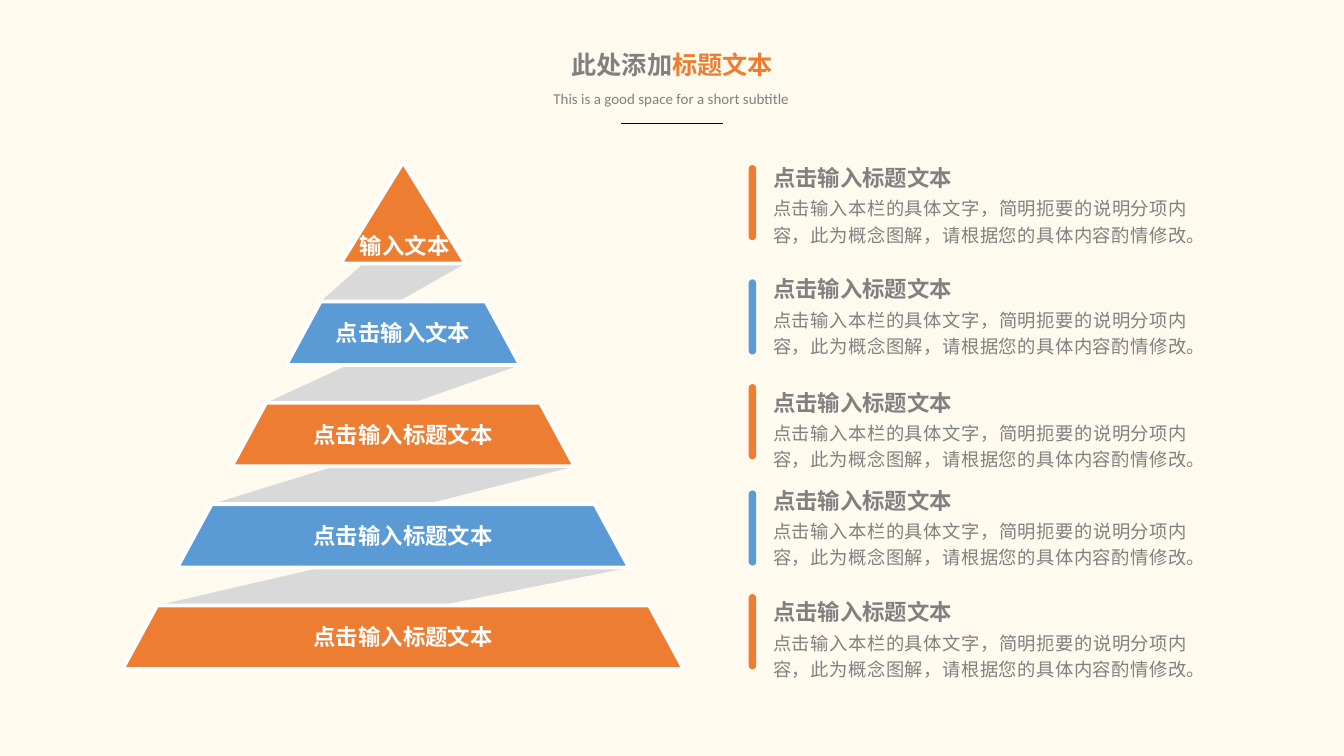
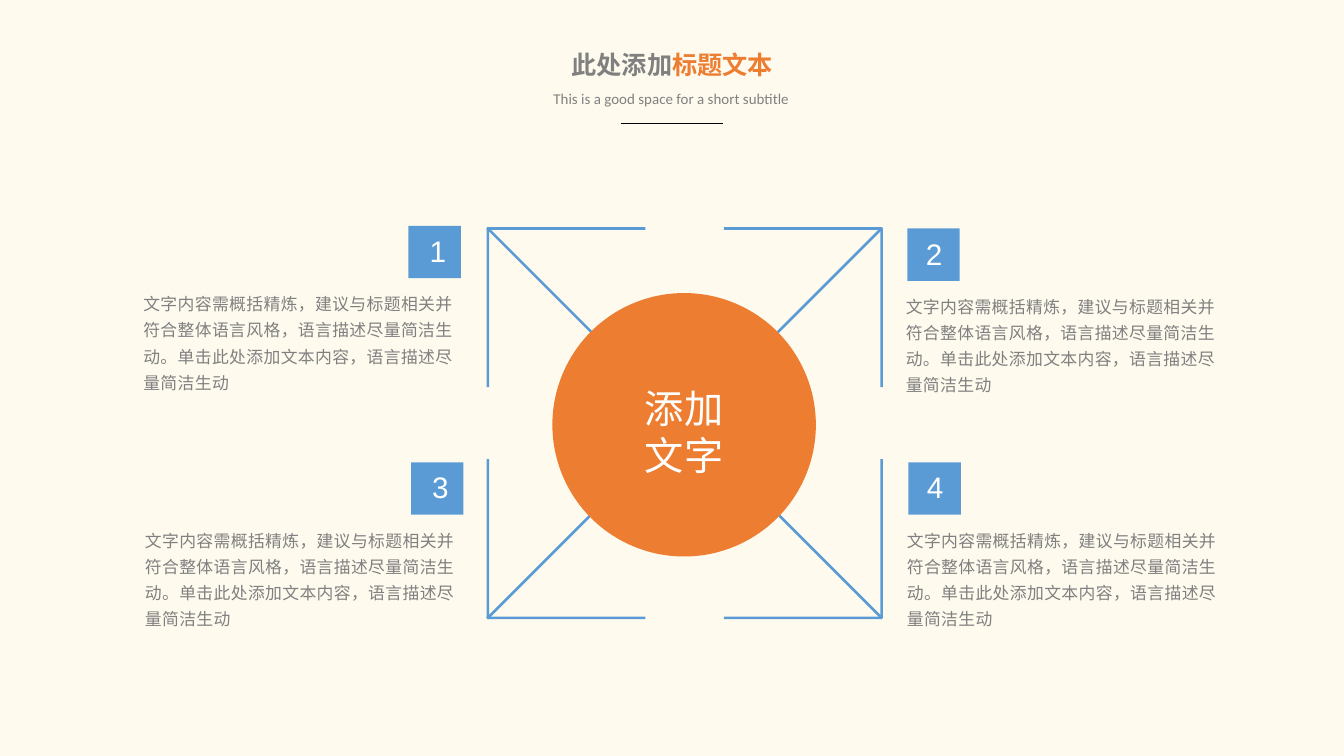
import pptx
import pptx.dml.color
import pptx.enum.shapes
import pptx.enum.text
import pptx.oxml.ns
import pptx.util
from lxml import etree

Cm = pptx.util.Cm
Pt = pptx.util.Pt
RGBColor = pptx.dml.color.RGBColor
MSO_SHAPE = pptx.enum.shapes.MSO_SHAPE
PP_ALIGN = pptx.enum.text.PP_ALIGN
MSO_ANCHOR = pptx.enum.text.MSO_ANCHOR
MSO_AUTO_SIZE = pptx.enum.text.MSO_AUTO_SIZE
qn = pptx.oxml.ns.qn

CREAM = RGBColor(0xFE, 0xFA, 0xEE)
ORANGE = RGBColor(0xED, 0x7D, 0x31)
BLUE = RGBColor(0x5B, 0x9B, 0xD5)
GRAY = RGBColor(0x80, 0x80, 0x80)
LIGHT_GRAY = RGBColor(0xD9, 0xD9, 0xD9)
WHITE = RGBColor(0xFF, 0xFF, 0xFF)
BLACK = RGBColor(0x00, 0x00, 0x00)
CJK_FONT = "Noto Sans CJK SC"


def paint(shape, fill, outline=None):
    shape.shadow.inherit = False
    shape.fill.solid()
    shape.fill.fore_color.rgb = fill
    if outline is None:
        shape.line.fill.background()
    else:
        shape.line.color.rgb = outline
        shape.line.width = Pt(2)


def write(shape, text, size, color, font=CJK_FONT, bold=False, align=PP_ALIGN.CENTER,
          margins=(0.25, 0.13), wrap=True, grow=True, spacing=None, tracking=None):
    frame = shape.text_frame
    frame.word_wrap = wrap
    frame.auto_size = MSO_AUTO_SIZE.SHAPE_TO_FIT_TEXT if grow else MSO_AUTO_SIZE.NONE
    frame.vertical_anchor = MSO_ANCHOR.TOP if grow else MSO_ANCHOR.MIDDLE
    frame.margin_left = frame.margin_right = Cm(margins[0])
    frame.margin_top = frame.margin_bottom = Cm(margins[1])
    frame.text = text
    for paragraph in frame.paragraphs:
        paragraph.alignment = align
        if spacing:
            paragraph.line_spacing = spacing
        paragraph.font.name = font
        paragraph.font.size = Pt(size)
        paragraph.font.bold = bold
        paragraph.font.color.rgb = color
        properties = paragraph._p.pPr.find(qn("a:defRPr"))
        etree.SubElement(properties, qn("a:ea")).set("typeface", CJK_FONT)
        if tracking:
            properties.set("spc", str(tracking))


presentation = pptx.Presentation()
presentation.slide_width = Cm(25.4)
presentation.slide_height = Cm(14.29)

# Shared background, title, subtitle and rule
for _ in range(2):
    slide = presentation.slides.add_slide(presentation.slide_layouts[6])
    slide.background.fill.solid()
    slide.background.fill.fore_color.rgb = CREAM
    title = slide.shapes.add_textbox(Cm(10.52), Cm(0.81), Cm(4.37), Cm(0.84))
    write(title, "此处添加", 13.5, GRAY, font="Calibri", bold=True, wrap=False)
    accent = title.text_frame.paragraphs[0].add_run()
    accent.text = "标题文本"
    accent.font.color.rgb = ORANGE
    subtitle = slide.shapes.add_textbox(Cm(10.19), Cm(1.57), Cm(5), Cm(0.61))
    write(subtitle, "This is a good space for a short subtitle", 8, GRAY,
          font="Calibri", wrap=False)
    rule = slide.shapes.add_connector(pptx.enum.shapes.MSO_CONNECTOR.STRAIGHT,
                                      Cm(11.73), Cm(2.34), Cm(13.67), Cm(2.34))
    rule.line.color.rgb = BLACK
    rule.line.width = Pt(0.5)
    etree.SubElement(rule._element.spPr, qn("a:effectLst"))

pyramid_slide, circle_slide = presentation.slides

# Pyramid tiers: top, bottom, half width at top, half width at bottom
shapes = pyramid_slide.shapes
axis = 7.62
tiers = [(3.91, 4.98, 0.46, 1.18)]
for step in range(4):
    top = 5.7 + 1.915 * step
    half = 1.56 + 1.03 * step
    tiers.append((top, top + 1.2, half, half + 0.65))

# Gray ribbons folding from each tier to the next
outlines = []
for upper, lower in zip(tiers, tiers[1:]):
    outlines.append(([(axis + upper[2], upper[0]), (axis - lower[2], lower[0]),
                      (axis - lower[3], lower[1]), (axis + upper[3], upper[1])],
                     LIGHT_GRAY, None))

# Tier outlines, with the peak as a triangle
outlines.append(([(axis, 3.07), (axis + 1.18, 4.98), (axis - 1.18, 4.98)], ORANGE, WHITE))
for number, (top, bottom, half_top, half_bottom) in enumerate(tiers[1:], 1):
    outlines.append(([(axis - half_top, top), (axis - half_bottom, bottom),
                      (axis + half_bottom, bottom), (axis + half_top, top)],
                     (ORANGE, BLUE)[number % 2], WHITE))

for points, fill, outline in outlines:
    corners = [(Cm(x), Cm(y)) for x, y in points]
    builder = shapes.build_freeform(*corners[0])
    builder.add_line_segments(corners[1:], close=True)
    paint(builder.convert_to_shape(), fill, outline)

# Tier labels
peak_label = shapes.add_textbox(Cm(6.48), Cm(4.14), Cm(2.34), Cm(0.99))
write(peak_label, "输入文本", 12, WHITE, bold=True, margins=(0, 0), grow=False)
labels = ["点击输入文本"] + ["点击输入标题文本"] * 3
for number, (label, tier) in enumerate(zip(labels, tiers[1:]), 1):
    half = tier[2] - 0.04
    plate = shapes.add_shape(MSO_SHAPE.RECTANGLE, Cm(axis - half), Cm(tier[0] + 0.1),
                             Cm(2 * half), Cm(0.99))
    paint(plate, (ORANGE, BLUE)[number % 2])
    write(plate, label, 12, WHITE, bold=True, margins=(0, 0), grow=False)

# Explanations beside coloured bars: bar top, heading top
rows = [(3.12, 3.07), (5.28, 5.18), (7.26, 7.32), (9.27, 9.17), (11.23, 11.28)]
for number, (bar_top, heading_top) in enumerate(rows):
    bar = shapes.add_shape(MSO_SHAPE.ROUND_2_SAME_RECTANGLE, Cm(14.15), Cm(bar_top),
                           Cm(0.14), Cm(1.42))
    bar.adjustments[0] = bar.adjustments[1] = 0.5
    bar.rotation = 180
    paint(bar, (ORANGE, BLUE)[number % 2])
    body = shapes.add_textbox(Cm(14.53), Cm(heading_top + 0.55), Cm(7.98), Cm(1.07))
    write(body, "点击输入本栏的具体文字，简明扼要的说明分项内容，此为概念图解，请根据您的具体内容酌情修改。",
          9.8, GRAY, align=PP_ALIGN.JUSTIFY, margins=(0.08, 0.03), spacing=1.2)
    heading = shapes.add_textbox(Cm(14.53), Cm(heading_top), Cm(3.56), Cm(0.58))
    write(heading, "点击输入标题文本", 12, GRAY, bold=True, align=PP_ALIGN.LEFT,
          margins=(0.08, 0.03), wrap=False)

# Four mirrored corner arrows: offset from centre, length, rotation
shapes = circle_slide.shapes
center_x, center_y = 12.94, 8
for side_y in (-1, 1):
    for side_x in (-1, 1):
        strokes = [(1.97, 1.93, 4.98, 45 * side_x * side_y),
                   (2.24, 3.68, 3, 0),
                   (3.72, 2.18, 3, 90)]
        for offset_x, offset_y, length, angle in strokes:
            stroke = shapes.add_shape(
                MSO_SHAPE.RECTANGLE, Cm(center_x + side_x * offset_x - length / 2),
                Cm(center_y + side_y * offset_y - 0.025), Cm(length), Cm(0.05))
            stroke.rotation = angle
            paint(stroke, BLUE)

# Central circle
circle = shapes.add_shape(MSO_SHAPE.OVAL, Cm(10.44), Cm(5.54), Cm(4.98), Cm(4.98))
paint(circle, ORANGE)
circle_text = shapes.add_textbox(Cm(11.51), Cm(7.14), Cm(2.84), Cm(2.06))
write(circle_text, "添加\n文字", 21, WHITE, font="Arial")

# Numbered notes: badge left, badge top, number offset, note left
notes = [(7.72, 4.27, 0.15, 2.46), (17.15, 4.32, 0.1, 16.87),
         (7.77, 8.74, 0.15, 2.49), (17.17, 8.74, 0.1, 16.89)]
for number, (left, top, shift, note_left) in enumerate(notes, 1):
    badge = shapes.add_shape(MSO_SHAPE.RECTANGLE, Cm(left), Cm(top), Cm(0.99), Cm(0.99))
    paint(badge, BLUE)
    digit = shapes.add_textbox(Cm(left + shift), Cm(top), Cm(0.79), Cm(0.94))
    write(digit, str(number), 15.9, WHITE, font="Arial", wrap=False)
    note = shapes.add_textbox(Cm(note_left), Cm(top + 1.04), Cm(6.55), Cm(2.26))
    write(note, "文字内容需概括精炼，建议与标题相关并符合整体语言风格，语言描述尽量简洁生动。"
          "单击此处添加文本内容，语言描述尽量简洁生动",
          9, GRAY, font="Arial", align=PP_ALIGN.LEFT, spacing=1.3, tracking=20)

presentation.save("out.pptx")
